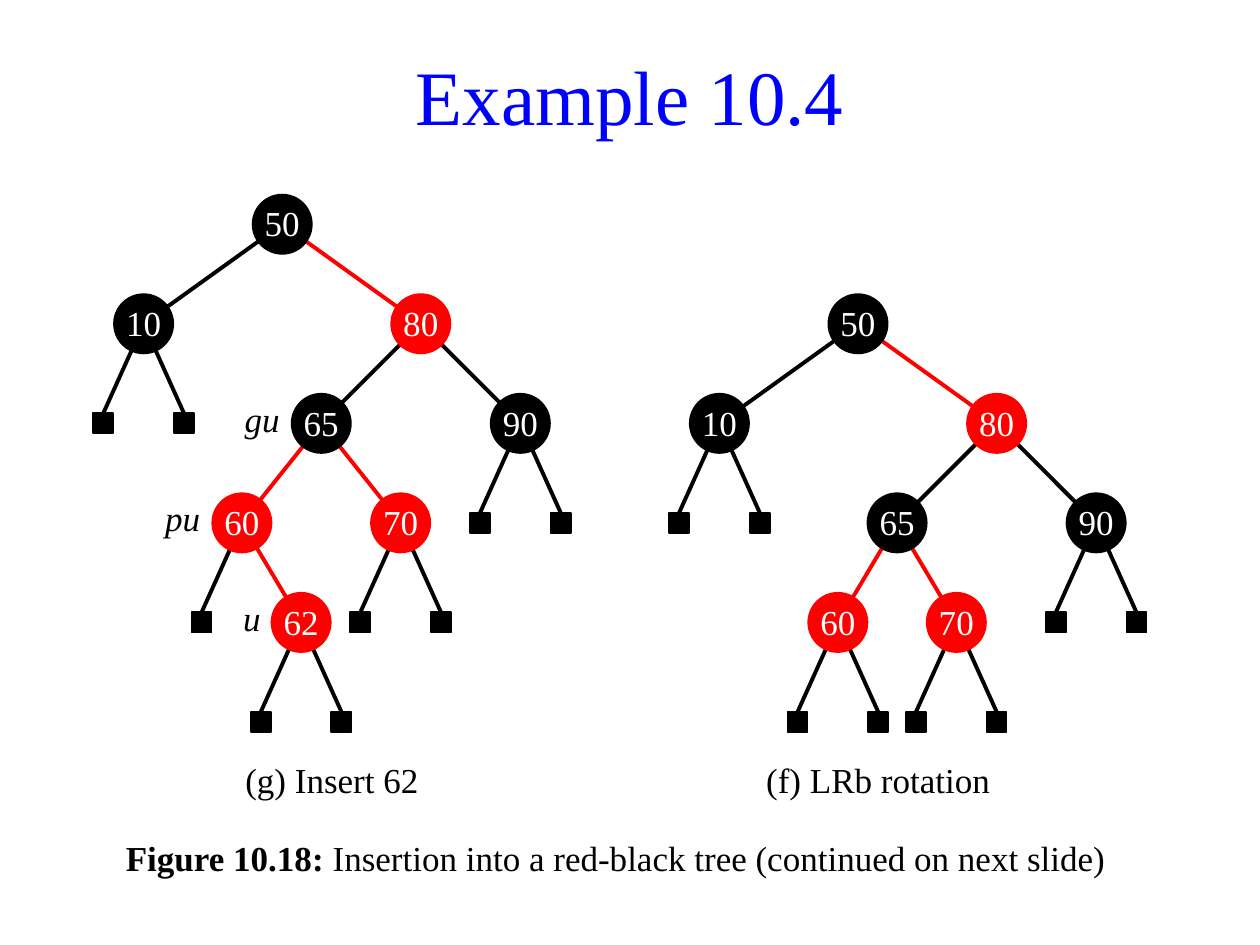
import dataclasses
from typing import Optional

import lxml.etree
import pptx
import pptx.dml.color
import pptx.enum.shapes
import pptx.enum.text
import pptx.oxml.ns
import pptx.util

Inches = pptx.util.Inches
Pt = pptx.util.Pt
MSO_SHAPE = pptx.enum.shapes.MSO_SHAPE
ANCHOR = pptx.enum.text.MSO_ANCHOR
ALIGN = pptx.enum.text.PP_ALIGN


@dataclasses.dataclass(frozen=True)
class Theme:
    font: str = "Times New Roman"
    title_size: int = 44
    text_size: int = 20
    title: str = "0000FF"
    black: str = "000000"
    red: str = "FF0000"
    white: str = "FFFFFF"


@dataclasses.dataclass(frozen=True)
class Node:
    key: str
    dx: float = 0
    red: bool = False
    left: Optional["Node"] = None
    right: Optional["Node"] = None
    name: str = ""
    name_width: float = 0.47


THEME = Theme()
NODE_SIZE = 0.47
LEAF_SIZE = 0.16
LEAF_DX = 0.32
LEVEL = 0.79

INSERT_TREE = Node(
    "50",
    left=Node("10", -1.1),
    right=Node(
        "80", 1.1, True,
        left=Node(
            "65", -0.79, name="gu",
            left=Node("60", -0.63, True, name="pu",
                      right=Node("62", 0.47, True, name="u", name_width=0.31)),
            right=Node("70", 0.63, True),
        ),
        right=Node("90", 0.79),
    ),
)

ROTATED_TREE = Node(
    "50",
    left=Node("10", -1.1),
    right=Node(
        "80", 1.1, True,
        left=Node("65", -0.79, left=Node("60", -0.47, True),
                  right=Node("70", 0.47, True)),
        right=Node("90", 0.79),
    ),
)


def rgb(color):
    return pptx.dml.color.RGBColor.from_string(color)


def set_font(font, color, size=THEME.text_size, italic=None):
    font.name = THEME.font
    font.size = Pt(size)
    font.color.rgb = rgb(color)
    font.italic = italic


def set_margins(tf, left, top, right, bottom):
    tf.margin_left, tf.margin_top = Inches(left), Inches(top)
    tf.margin_right, tf.margin_bottom = Inches(right), Inches(bottom)


def add_title(s, text):
    sp = s.shapes.title
    sp.left, sp.top = Inches(0.43), Inches(0.28)
    sp.width, sp.height = Inches(9.14), Inches(0.94)
    sp.text_frame.text = text
    sp.text_frame.vertical_anchor = ANCHOR.MIDDLE
    p = sp.text_frame.paragraphs[0]
    p.alignment = ALIGN.CENTER
    set_font(p.font, THEME.title, THEME.title_size)


def add_label(s, text, x, y, w, bottom=0.05, italic=None):
    sp = s.shapes.add_textbox(Inches(x), Inches(y), Inches(w), Inches(0.47))
    tf = sp.text_frame
    tf.text = text
    tf.word_wrap = False
    tf.vertical_anchor = ANCHOR.MIDDLE
    set_margins(tf, 0, bottom if not italic else 0, 0, bottom)
    p = tf.paragraphs[0]
    p.alignment = ALIGN.CENTER
    set_font(p.font, THEME.black, italic=italic)


def add_caption(s, number, text):
    sp = s.shapes.add_textbox(Inches(0.9), Inches(6.59), Inches(8.19), Inches(0.47))
    tf = sp.text_frame
    tf.word_wrap = True
    p = tf.paragraphs[0]
    p.space_before = Pt(4)
    set_font(p.font, THEME.black)
    r = p.add_run()
    r.text = number
    r.font.bold = True
    p.add_run().text = text


def add_mark(s, kind, x, y, size, color):
    sp = s.shapes.add_shape(kind, Inches(x - size / 2), Inches(y - size / 2),
                            Inches(size), Inches(size))
    sp.shadow.inherit = False
    sp.fill.solid()
    sp.fill.fore_color.rgb = rgb(color)
    sp.line.color.rgb = rgb(color)
    sp.line.width = Pt(1)
    return sp


def add_edge(s, x1, y1, x2, y2, color):
    line = s.shapes.add_connector(pptx.enum.shapes.MSO_CONNECTOR.STRAIGHT,
                                  Inches(x1), Inches(y1), Inches(x2), Inches(y2))
    line.line.color.rgb = rgb(color)
    line.line.width = Pt(2.25)
    lxml.etree.SubElement(line._element.spPr, pptx.oxml.ns.qn("a:effectLst"))


def add_node(s, node, x, y, color):
    sp = add_mark(s, MSO_SHAPE.OVAL, x, y, NODE_SIZE, color)
    tf = sp.text_frame
    tf.text = node.key
    tf.vertical_anchor = ANCHOR.BOTTOM
    set_margins(tf, 0, 0, 0, 0.01)
    p = tf.paragraphs[0]
    p.alignment = ALIGN.CENTER
    set_font(p.font, THEME.white)
    if node.name:
        left = x - NODE_SIZE / 2 - node.name_width
        add_label(s, node.name, left, y - NODE_SIZE / 2, node.name_width,
                  bottom=0.08, italic=True)


def add_tree(s, node, x, y):
    color = THEME.red if node.red else THEME.black
    child_y = y + LEVEL
    for child, side in ((node.left, -1), (node.right, 1)):
        if child:
            child_x = x + child.dx
            edge_color = THEME.red if child.red else THEME.black
            add_edge(s, x, y, child_x, child_y, edge_color)
            add_tree(s, child, child_x, child_y)
        else:
            leaf_x = x + side * LEAF_DX
            add_edge(s, x, y, leaf_x, child_y - LEAF_SIZE / 2, THEME.black)
            add_mark(s, MSO_SHAPE.RECTANGLE, leaf_x, child_y, LEAF_SIZE, THEME.black)
    add_node(s, node, x, y, color)


def main():
    prs = pptx.Presentation()
    prs.slide_width, prs.slide_height = Inches(10), Inches(7.5)
    s = prs.slides.add_slide(prs.slide_layouts[5])
    add_title(s, "Example 10.4")
    add_tree(s, INSERT_TREE, 2.24, 1.78)
    add_tree(s, ROTATED_TREE, 6.81, 2.57)
    add_label(s, "(g) Insert 62", 1.85, 5.95, 1.57)
    add_label(s, "(f) LRb rotation", 5.79, 5.95, 2.36)
    add_caption(s, "Figure 10.18: ",
                "Insertion into a red-black tree (continued on next slide)")
    prs.save("out.pptx")


main()
